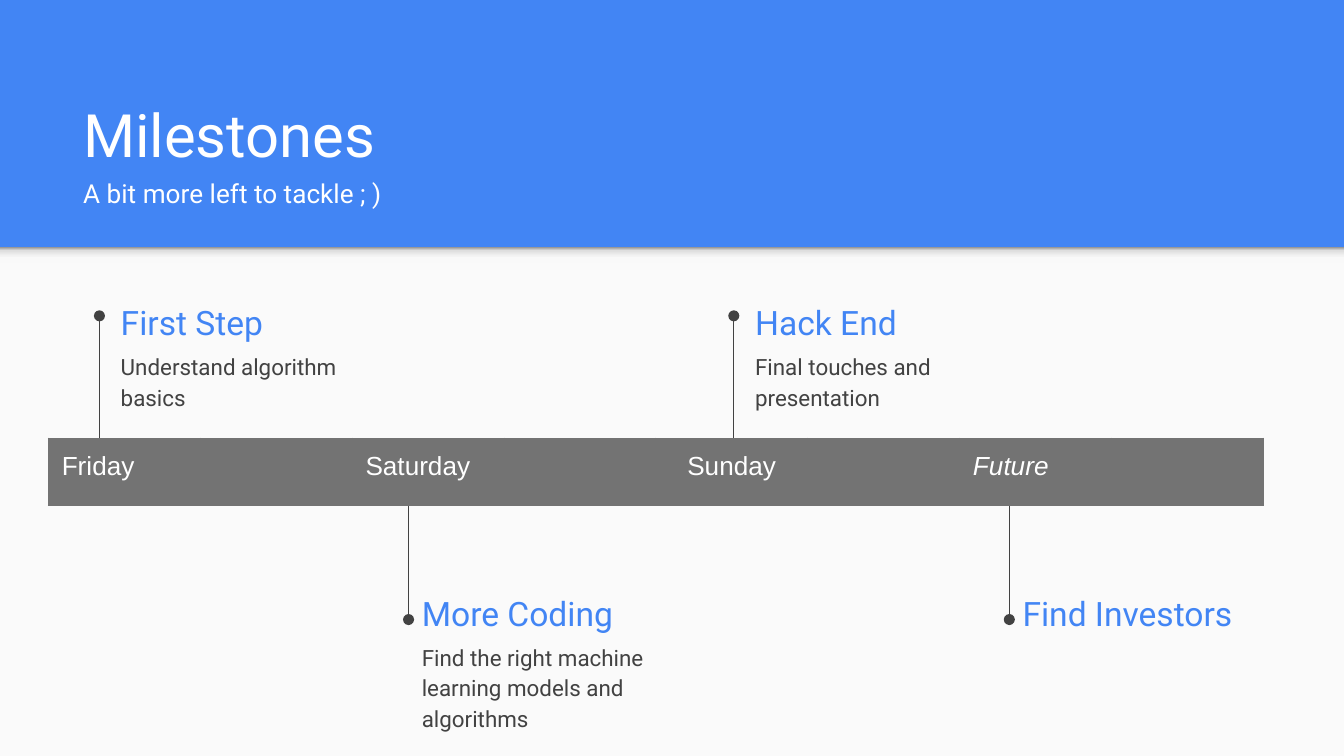
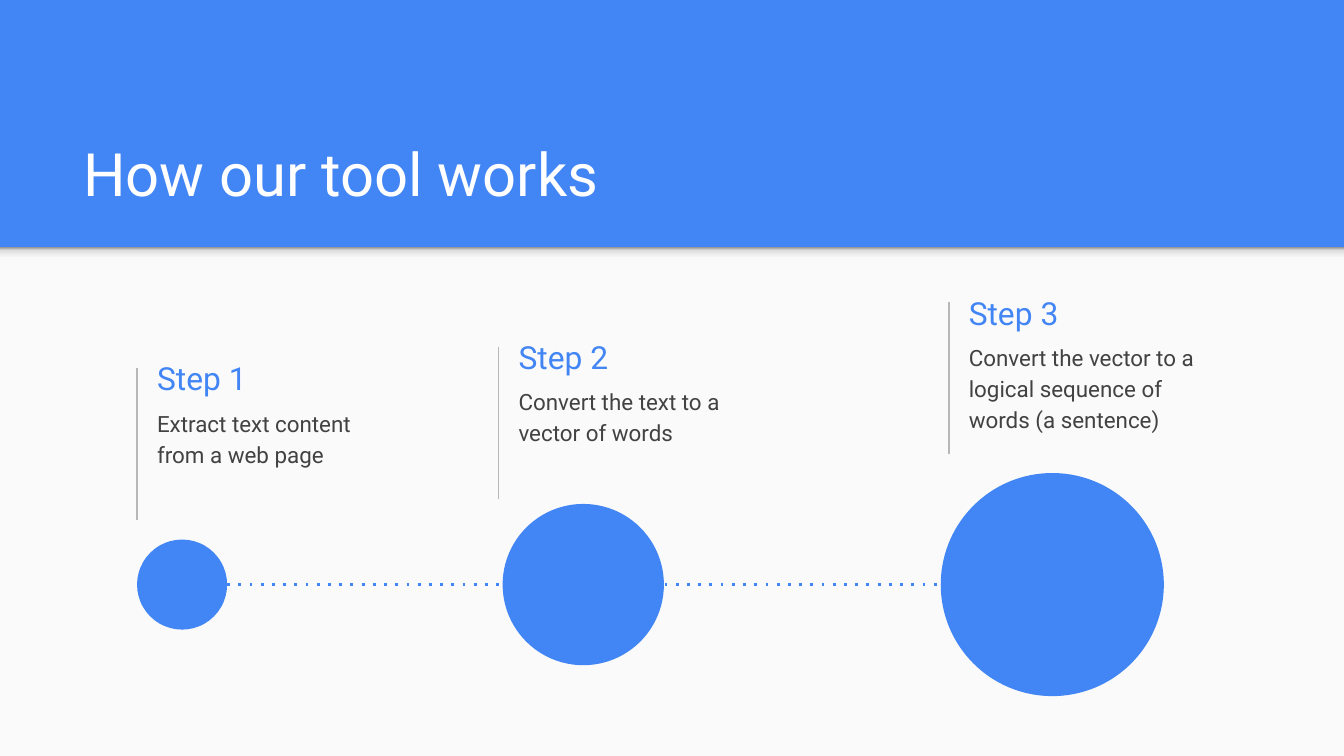
import pptx
import pptx.util
import pptx.dml.color
import pptx.enum.shapes
import pptx.enum.text
import pptx.oxml
import pptx.oxml.ns

Inches = pptx.util.Inches
Pt = pptx.util.Pt
RGBColor = pptx.dml.color.RGBColor
Shape = pptx.enum.shapes.MSO_SHAPE
Anchor = pptx.enum.text.MSO_ANCHOR
Align = pptx.enum.text.PP_ALIGN

BLUE = RGBColor(0x42, 0x85, 0xF4)
PAPER = RGBColor(0xFA, 0xFA, 0xFA)
WHITE = RGBColor(0xFF, 0xFF, 0xFF)
INK = RGBColor(0x42, 0x42, 0x42)
RULE = RGBColor(0xB7, 0xB7, 0xB7)
BAR = RGBColor(0x73, 0x73, 0x73)
SHADE_STOPS = [(0, "F9F9F9"), (36, "F9F9F9"), (80, "DEDEDE"), (100, "999999")]

WIDTH, HEADER = 10, 1.84
HEIGHT = WIDTH * 9 / 16
INSETS = dict.fromkeys(
    ("margin_left", "margin_top", "margin_right", "margin_bottom"), Inches(0.1))
HEADING_HEIGHT = 0.43

TITLE = {"font": {"name": "Roboto", "size": Pt(32)}, "color": WHITE}
SUBTITLE = {"font": {"name": "Roboto", "size": Pt(14)}, "color": WHITE,
            "para": {"space_before": Pt(4), "space_after": Pt(4)}}
MILESTONE = {"font": {"name": "Roboto", "size": Pt(18)}, "color": BLUE}
STEP = {"font": {"name": "Roboto", "size": Pt(17)}, "color": BLUE}
BODY = {"font": {"name": "Roboto", "size": Pt(12)}, "color": INK,
        "para": {"line_spacing": 1.15, "space_after": Pt(16)}}
DAY = {"font": {"name": "Arial", "size": Pt(14), "bold": False}, "color": WHITE}


def assign(target, values):
    for name, value in values.items():
        setattr(target, name, value)


def element(tag, attributes="", content=""):
    return pptx.oxml.parse_xml(
        f'<a:{tag} {pptx.oxml.ns.nsdecls("a")} {attributes}>{content}</a:{tag}>')


def write(para, text, style):
    span = para.add_run()
    span.text = text
    assign(span.font, style["font"])
    span.font.color.rgb = style["color"]
    assign(para, style.get("para", {}))


def add_text(page, box, lines, anchor=Anchor.TOP):
    frame = page.shapes.add_textbox(*map(Inches, box)).text_frame
    assign(frame, {**INSETS, "word_wrap": True, "vertical_anchor": anchor})
    for index, (text, style) in enumerate(lines):
        para = frame.add_paragraph() if index else frame.paragraphs[0]
        write(para, text, style)


def add_block(page, left, top, heading, style, body, width=1.98, height=0.63, drop=0.32):
    add_text(page, (left, top, 1.98, HEADING_HEIGHT), [(heading, style)], Anchor.MIDDLE)
    if body:
        add_text(page, (left, top + drop, width, height), [(body, BODY)])


def add_solid(page, kind, box, color):
    shape = page.shapes.add_shape(kind, *map(Inches, box))
    shape.shadow.inherit = False
    shape.fill.solid()
    shape.fill.fore_color.rgb = color
    shape.line.fill.background()
    return shape


def add_line(page, start, end, color, weight=0.75, finish=None):
    line = page.shapes.add_connector(
        pptx.enum.shapes.MSO_CONNECTOR.STRAIGHT, *map(Inches, start + end))
    line.line.color.rgb = color
    line.line.width = Pt(weight)
    properties = line._element.spPr
    if finish is not None:
        properties.find(pptx.oxml.ns.qn("a:ln")).append(finish)
    properties.append(element("effectLst"))


def add_shade(page, box):
    shade = add_solid(page, Shape.RECTANGLE, box, PAPER)
    stops = "".join(f'<a:gs pos="{place * 1000}"><a:srgbClr val="{color}"/></a:gs>'
                    for place, color in SHADE_STOPS)
    gradient = element("gradFill", 'rotWithShape="0"',
                       f'<a:gsLst>{stops}</a:gsLst><a:lin ang="16200000" scaled="0"/>')
    properties = shade._element.spPr
    properties.replace(properties.find(pptx.oxml.ns.qn("a:solidFill")), gradient)


def start_page(deck, title, subtitle=None):
    page = deck.slides.add_slide(deck.slide_layouts[6])
    page.background.fill.solid()
    page.background.fill.fore_color.rgb = BLUE
    add_solid(page, Shape.RECTANGLE, (0, HEADER, WIDTH, HEIGHT - HEADER), PAPER)
    add_shade(page, (0, HEADER, WIDTH, 0.12))
    lines = [(title, TITLE)] + ([(subtitle, SUBTITLE)] if subtitle else [])
    add_text(page, (0.52, 0.81, 8.99, 0.84), lines, Anchor.BOTTOM)
    return page


def add_day_bar(page, left, top, days, column=1.13, height=0.43):
    frame = page.shapes.add_table(
        1, 2 * len(days), Inches(left), Inches(top),
        Inches(column * 2 * len(days)), Inches(height))
    table = frame.table
    assign(table, {"first_row": False, "horz_banding": False})
    for cell in table.iter_cells():
        assign(cell, INSETS)
        cell.fill.solid()
        cell.fill.fore_color.rgb = BAR
        for index, side in enumerate("LRTB"):
            cell._tc.get_or_add_tcPr().insert(index, element(
                f"ln{side}", 'w="9525"',
                f'<a:solidFill><a:srgbClr val="{BAR}"/></a:solidFill>'))
    for index, (day, changes) in enumerate(days):
        filled, empty = (table.cell(0, 2 * index + shift).text_frame.paragraphs[0]
                         for shift in (0, 1))
        write(filled, day, {**DAY, **changes})
        empty._p.append(element("endParaRPr", 'sz="1800"', '<a:latin typeface="Arial"/>'))


def build_milestones(deck):
    page = start_page(deck, "Milestones", "A bit more left to tackle ; )")
    bar_top, bar_height = 3.26, 0.43
    above = [(0.74, "First Step", "Understand algorithm basics"),
             (5.46, "Hack End", "Final touches and presentation")]
    below = [(3.04, "More Coding", "Find the right machine learning models and algorithms"),
             (7.51, "Find Investors", None)]
    for x, heading, body in above:
        add_line(page, (x, bar_top), (x, 2.35), INK,
                 finish=element("tailEnd", 'type="oval"'))
        add_block(page, x + 0.06, 2.18, heading, MILESTONE, body)
    for x, heading, body in below:
        add_line(page, (x, bar_top + bar_height), (x, 4.61), INK,
                 finish=element("tailEnd", 'type="oval"'))
        add_block(page, x, 4.35, heading, MILESTONE, body, width=2.19, drop=0.31)
    add_day_bar(page, 0.36, bar_top, [
        ("Friday", {}),
        ("Saturday", {}),
        ("Sunday", {"para": {"alignment": Align.CENTER}}),
        ("Future", {"font": {**DAY["font"], "italic": True}}),
    ], height=bar_height)


def build_steps(deck):
    page = start_page(deck, "How our tool works")
    steps = [(1.02, 2.74, "Extract text content from a web page", 0.63),
             (3.71, 2.58, "Convert the text to a vector of words", 0.63),
             (7.06, 2.25, "Convert the vector to a logical sequence of words (a sentence)", 0.78)]
    for number, (x, top, body, height) in enumerate(steps, 1):
        add_line(page, (x, top), (x, top + 1.13), RULE)
        add_block(page, x + 0.05, top - 0.14, f"Step {number}", STEP, body, height=height)

    axis = 4.35
    circles = [(1.02, 0.67), (3.74, 1.2), (7, 1.66)]
    add_line(page, (sum(circles[0]), axis), (circles[-1][0], axis), BLUE,
             weight=1.5, finish=element("prstDash", 'val="dot"'))
    for left, size in circles:
        add_solid(page, Shape.OVAL, (left, axis - size / 2, size, size), BLUE)


def main():
    deck = pptx.Presentation()
    assign(deck, {"slide_width": Inches(WIDTH), "slide_height": Inches(HEIGHT)})
    build_milestones(deck)
    build_steps(deck)
    deck.save("out.pptx")


if __name__ == "__main__":
    main()
